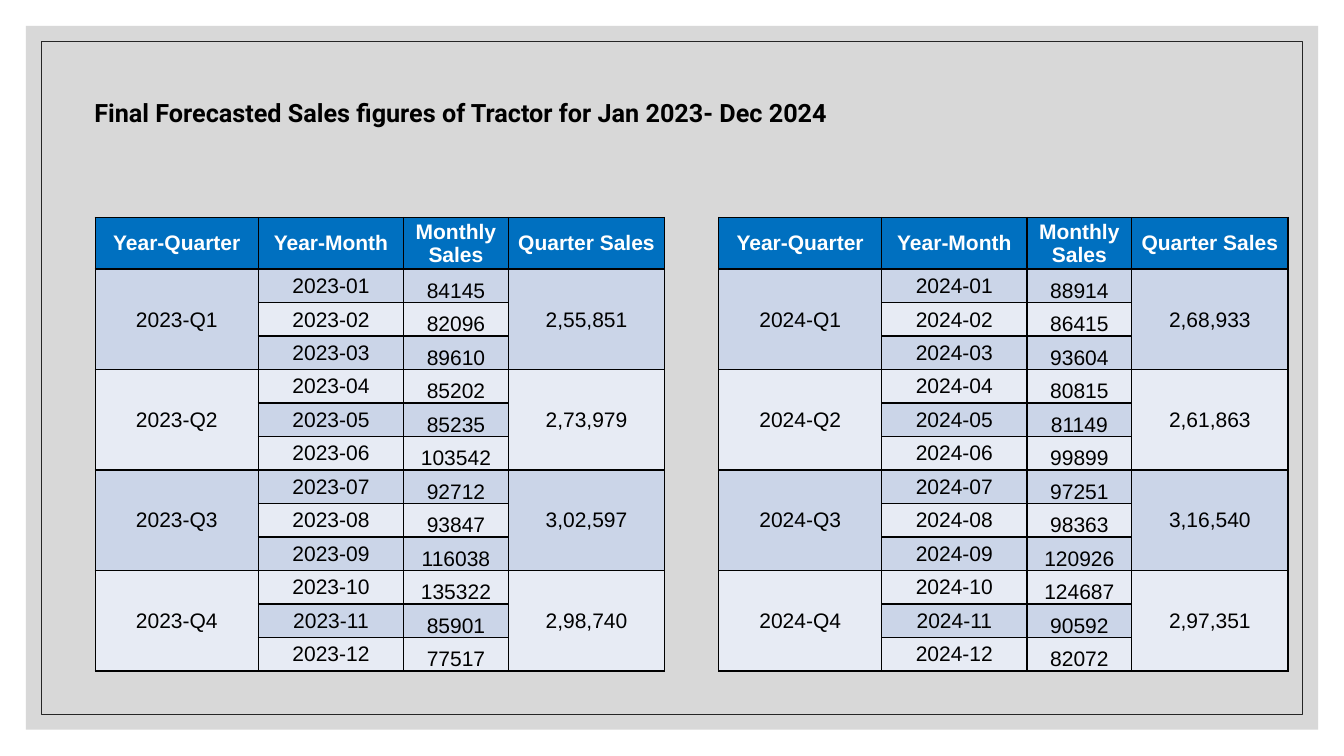
import dataclasses

import lxml.etree
import pptx
import pptx.dml.color
import pptx.enum.shapes
import pptx.enum.text
import pptx.oxml.ns
import pptx.util

Cm = pptx.util.Cm
Pt = pptx.util.Pt
qn = pptx.oxml.ns.qn
Anchor = pptx.enum.text.MSO_ANCHOR


@dataclasses.dataclass(frozen=True)
class Theme:
    panel: str = "BFBFBF"
    panel_opacity: int = 60
    frame: str = "262626"
    header: str = "0070C0"
    bands: tuple = ("CBD5E8", "E7EBF4")
    text: str = "000000"
    header_text: str = "FFFFFF"
    border: str = "000000"
    title_font: str = "Roboto"
    table_font: str = "Arial"
    title_size: int = 18
    table_size: int = 15


@dataclasses.dataclass(frozen=True)
class Box:
    left: float
    top: float
    width: float
    height: float

    def lengths(self):
        return Cm(self.left), Cm(self.top), Cm(self.width), Cm(self.height)

    def inset(self, gap):
        return Box(self.left + gap, self.top + gap,
                   self.width - 2 * gap, self.height - 2 * gap)


THEME = Theme()
TITLE = "Final Forecasted Sales figures of Tractor for Jan 2023- Dec 2024"
HEADINGS = ("Year-Quarter", "Year-Month", "Monthly Sales", "Quarter Sales")
COLUMN_WIDTHS = (4.11, 3.66, 2.64, 3.94)
HEADER_HEIGHT = 1.3
MONTHLY_SALES = {
    2023: (84145, 82096, 89610, 85202, 85235, 103542,
           92712, 93847, 116038, 135322, 85901, 77517),
    2024: (88914, 86415, 93604, 80815, 81149, 99899,
           97251, 98363, 120926, 124687, 90592, 82072),
}


def rgb(code):
    return pptx.dml.color.RGBColor.from_string(code)


def add_span(para, text, font, size, color, bold=False):
    span = para.add_run()
    span.text = text
    span.font.name = font
    span.font.size = Pt(size)
    span.font.bold = bold
    span.font.color.rgb = rgb(color)


def lakh(number):
    """Group six digits the Indian way, as in 2,55,851."""
    return f"{number // 100000},{number // 1000 % 100:02},{number % 1000:03}"


def add_background(page, box):
    rectangle = pptx.enum.shapes.MSO_SHAPE.RECTANGLE
    # Translucent panel
    panel = page.shapes.add_shape(rectangle, *box.lengths())
    panel.shadow.inherit = False
    panel.fill.solid()
    panel.fill.fore_color.rgb = rgb(THEME.panel)
    panel.line.fill.background()
    color = panel.fill._xPr.find(qn("a:solidFill")).find(qn("a:srgbClr"))
    lxml.etree.SubElement(color, qn("a:alpha"), val=str(THEME.panel_opacity * 1000))
    # Thin frame inside it
    frame = page.shapes.add_shape(rectangle, *box.inset(0.39).lengths())
    frame.shadow.inherit = False
    frame.fill.background()
    frame.line.color.rgb = rgb(THEME.frame)
    frame.line.width = Pt(0.5)


def add_title(page, box):
    frame = page.shapes.add_textbox(*box.lengths()).text_frame
    frame.word_wrap = True
    add_span(frame.paragraphs[0], TITLE, THEME.title_font,
             THEME.title_size, THEME.text, bold=True)


def style_cell(cell, fill, anchor=Anchor.MIDDLE):
    cell.fill.solid()
    cell.fill.fore_color.rgb = rgb(fill)
    cell.vertical_anchor = anchor
    cell.margin_left = cell.margin_right = cell.margin_top = Cm(0.02)
    cell.margin_bottom = 0
    # Borders come before the fill in the cell properties
    properties = cell._tc.get_or_add_tcPr()
    for place, side in enumerate(("lnL", "lnR", "lnT", "lnB")):
        border = lxml.etree.Element(qn("a:" + side), w=str(Pt(1)))
        solid = lxml.etree.SubElement(border, qn("a:solidFill"))
        lxml.etree.SubElement(solid, qn("a:srgbClr"), val=THEME.border)
        properties.insert(place, border)


def write_cell(cell, text, color=THEME.text, bold=False):
    para = cell.text_frame.paragraphs[0]
    para.alignment = pptx.enum.text.PP_ALIGN.CENTER
    add_span(para, text, THEME.table_font, THEME.table_size, color, bold)


def add_sales_table(page, box, year):
    sales = MONTHLY_SALES[year]
    table = page.shapes.add_table(
        len(sales) + 1, len(HEADINGS), *box.lengths()).table
    table.horz_banding = False
    for column, width in zip(table.columns, COLUMN_WIDTHS):
        column.width = Cm(width)
    for row in table.rows:
        row.height = Cm((box.height - HEADER_HEIGHT) / len(sales))
    table.rows[0].height = Cm(HEADER_HEIGHT)

    # Header
    for index, heading in enumerate(HEADINGS):
        style_cell(table.cell(0, index), THEME.header)
        write_cell(table.cell(0, index), heading, THEME.header_text, bold=True)

    # Months
    for month, amount in enumerate(sales, start=1):
        band = THEME.bands[(month - 1) % 2]
        for index in range(len(HEADINGS)):
            anchor = Anchor.BOTTOM if index == 2 else Anchor.MIDDLE
            style_cell(table.cell(month, index), band, anchor)
        write_cell(table.cell(month, 1), f"{year}-{month:02}")
        write_cell(table.cell(month, 2), str(amount))

    # Quarters, each spanning three months
    for quarter in range(4):
        first = 3 * quarter + 1
        total = sum(sales[first - 1:first + 2])
        for index, text in ((0, f"{year}-Q{quarter + 1}"), (3, lakh(total))):
            table.cell(first, index).merge(table.cell(first + 2, index))
            write_cell(table.cell(first, index), text)


def main():
    deck = pptx.Presentation()
    deck.slide_width = Cm(33.87)
    deck.slide_height = Cm(19.05)
    page = deck.slides.add_slide(deck.slide_layouts[6])
    add_background(page, Box(0.65, 0.65, 32.57, 17.74))
    for index, year in enumerate(MONTHLY_SALES):
        add_sales_table(page, Box(2.4 + 15.71 * index, 5.48, 14.35, 11.44), year)
    add_title(page, Box(2.13, 2.34, 20.88, 1.02))
    deck.save("out.pptx")


if __name__ == "__main__":
    main()
